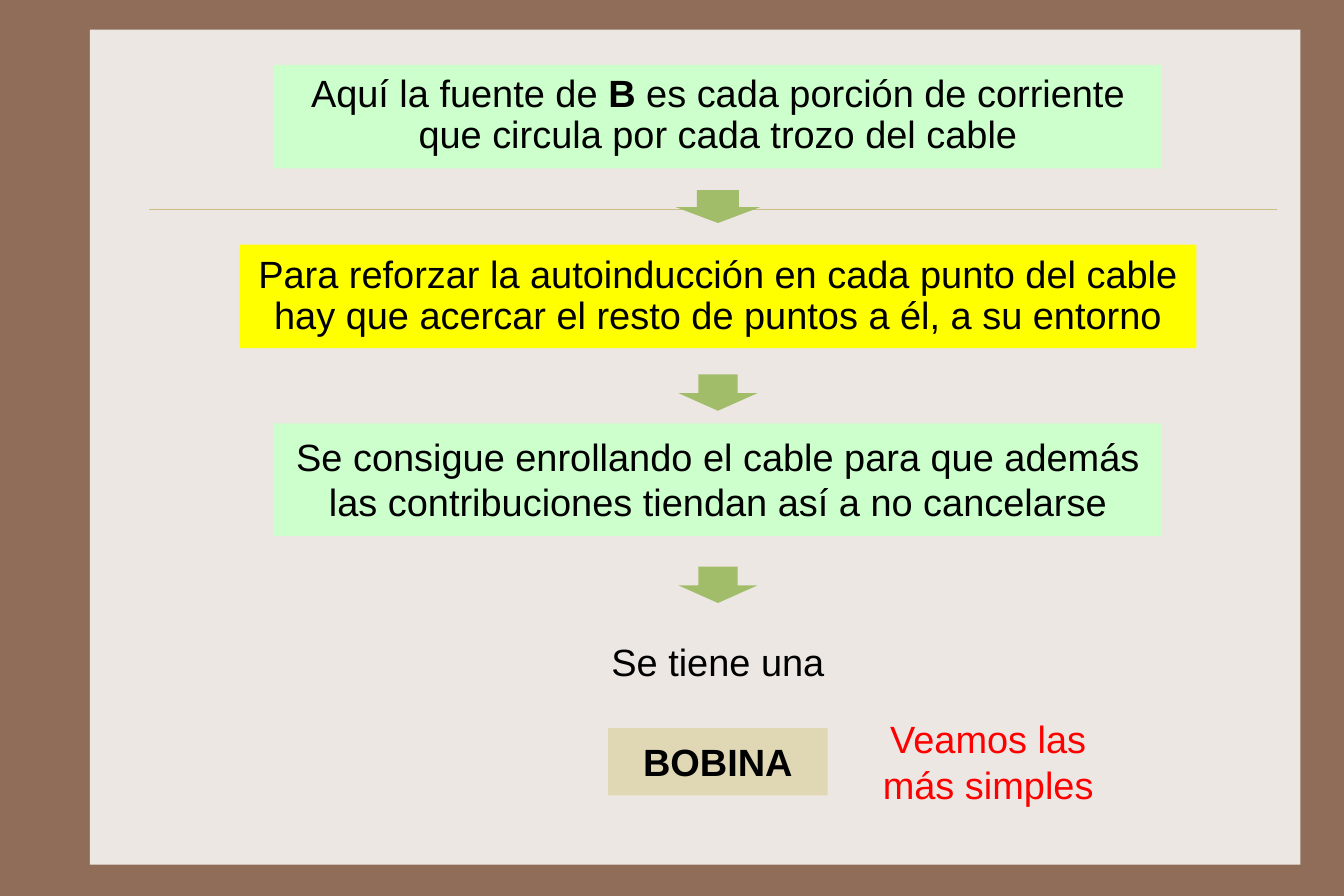
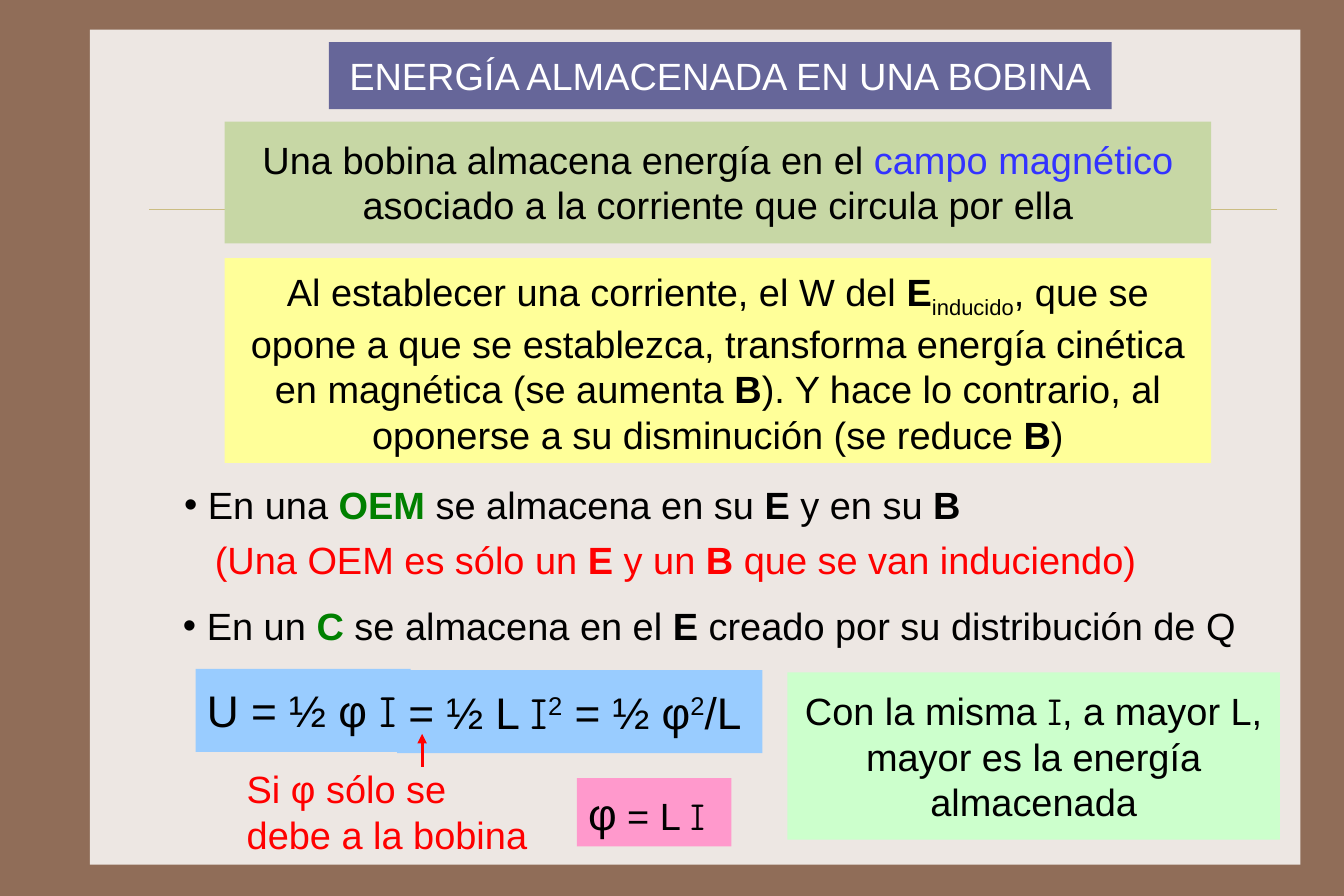
from dataclasses import dataclass
from typing import NamedTuple, Optional

from lxml import etree
from pptx import Presentation
from pptx.dml.color import RGBColor
from pptx.enum.shapes import MSO_CONNECTOR as Connector, MSO_SHAPE as Shape
from pptx.enum.text import MSO_ANCHOR as Anchor, PP_ALIGN as Align
from pptx.oxml.ns import qn
from pptx.util import Inches, Pt

BROWN = RGBColor(0x90, 0x6D, 0x58)
PAPER = RGBColor(0xED, 0xE7, 0xE3)
RULE = RGBColor(0xCB, 0xBD, 0x83)
ARROW_GREEN = RGBColor(0xA1, 0xBD, 0x69)
BLACK = RGBColor(0x00, 0x00, 0x00)
WHITE = RGBColor(0xFF, 0xFF, 0xFF)
RED = RGBColor(0xFF, 0x00, 0x00)
BLUE = RGBColor(0x33, 0x33, 0xFF)
GREEN = RGBColor(0x00, 0x80, 0x00)
MINT = RGBColor(0xCC, 0xFF, 0xCC)
YELLOW = RGBColor(0xFF, 0xFF, 0x00)
PALE_YELLOW = RGBColor(0xFF, 0xFF, 0x99)
SAND = RGBColor(0xE0, 0xD7, 0xB5)
SAGE = RGBColor(0xC7, 0xD7, 0xA5)
VIOLET = RGBColor(0x66, 0x66, 0x99)
SKY = RGBColor(0x99, 0xCC, 0xFF)
PINK = RGBColor(0xFF, 0x99, 0xCC)

SLIDE_HEIGHT = Inches(63 / 8)
SLIDE_WIDTH = SLIDE_HEIGHT * 3 // 2

TEXT_FONT = "Arial"
CURRENT_FONT = "Comic Neue"
TEXT_SIZE = 24
FORMULA_SIZE = 28
CENTER_X = 6.31
BULLET_INDENT = 0.21


class Run(NamedTuple):
    """A piece of text; unset values come from its box."""
    text: str
    bold: bool = False
    color: Optional[RGBColor] = None
    font: str = TEXT_FONT
    size: Optional[int] = None
    baseline: int = 0


E = Run("E", bold=True)
B = Run("B", bold=True)
CURRENT = Run("I", font=CURRENT_FONT)
SQUARED = Run("2", baseline=30)

Line = list[Run]


@dataclass
class Box:
    """Lines of text in a rectangle, centred on the column unless left is given."""
    lines: list[Line]
    top: float
    width: float
    height: float
    left: Optional[float] = None
    fill: Optional[RGBColor] = None
    color: RGBColor = BLACK
    size: int = TEXT_SIZE
    align: Align = Align.CENTER
    anchor: Anchor = Anchor.TOP
    inset_x: float = 0.1
    inset_y: float = 0.09
    line_spacing: Optional[float] = None
    bullet: bool = False


class DownArrow(NamedTuple):
    top: float
    width: float
    height: float


def add_plain_shape(slide, kind: Shape, left: float, top: float, width: float,
                    height: float, fill: RGBColor):
    shape = slide.shapes.add_shape(
        kind, Inches(left), Inches(top), Inches(width), Inches(height))
    shape.shadow.inherit = False
    shape.fill.solid()
    shape.fill.fore_color.rgb = fill
    shape.line.fill.background()
    return shape


def add_line(slide, start: tuple[float, float], end: tuple[float, float],
             color: RGBColor, width: float, arrow: bool = False) -> None:
    connector = slide.shapes.add_connector(
        Connector.STRAIGHT, *map(Inches, start), *map(Inches, end))
    connector.line.color.rgb = color
    connector.line.width = Pt(width)
    properties = connector.element.spPr
    if arrow:
        outline = properties.find(qn("a:ln"))
        etree.SubElement(outline, qn("a:tailEnd"), type="triangle")
    etree.SubElement(properties, qn("a:effectLst"))


def add_bullet(paragraph) -> None:
    properties = paragraph._p.get_or_add_pPr()
    indent = Inches(BULLET_INDENT)
    properties.set("marL", str(indent))
    properties.set("indent", str(-indent))
    etree.SubElement(properties, qn("a:buFont"), typeface=TEXT_FONT)
    etree.SubElement(properties, qn("a:buChar"), char="•")


def add_runs(paragraph, line: Line, box: Box) -> None:
    for piece in line:
        run = paragraph.add_run()
        run.text = piece.text
        run.font.name = piece.font
        run.font.size = Pt(piece.size or box.size)
        run.font.bold = piece.bold
        run.font.color.rgb = piece.color or box.color
        if piece.baseline:
            run._r.get_or_add_rPr().set("baseline", str(piece.baseline * 1000))


def add_box(slide, box: Box) -> None:
    left = CENTER_X - box.width / 2 if box.left is None else box.left
    place = (left, box.top, box.width, box.height)
    if box.fill is None:
        shape = slide.shapes.add_textbox(*map(Inches, place))
    else:
        shape = add_plain_shape(slide, Shape.RECTANGLE, *place, box.fill)
    frame = shape.text_frame
    frame.word_wrap = True
    frame.vertical_anchor = box.anchor
    frame.margin_left = frame.margin_right = Inches(box.inset_x)
    frame.margin_top = frame.margin_bottom = Inches(box.inset_y)
    for index, line in enumerate(box.lines):
        paragraph = frame.add_paragraph() if index else frame.paragraphs[0]
        paragraph.alignment = box.align
        if box.line_spacing:
            paragraph.line_spacing = box.line_spacing
        if box.bullet:
            add_bullet(paragraph)
        add_runs(paragraph, line, box)


def add_down_arrow(slide, arrow: DownArrow) -> None:
    shape = add_plain_shape(
        slide, Shape.DOWN_ARROW, CENTER_X - arrow.width / 2, arrow.top,
        arrow.width, arrow.height, ARROW_GREEN)
    shape.adjustments[1] = 0.48


def add_framed_slide(presentation):
    """Add a slide with the brown frame, paper panel and thin rule."""
    slide = presentation.slides.add_slide(presentation.slide_layouts[6])
    background = slide.background.fill
    background.solid()
    background.fore_color.rgb = BROWN
    add_plain_shape(slide, Shape.RECTANGLE, 0.79, 0.26, 10.64, 7.34, PAPER)
    add_line(slide, (1.31, 1.84), (11.22, 1.84), RULE, 0.25)
    return slide


COIL_BOXES = [
    Box([[Run("Aquí la fuente de "), B,
          Run(" es cada porción de corriente que circula por cada trozo del cable")]],
        0.57, 7.8, 0.91, fill=MINT, inset_x=0.16, line_spacing=0.9),
    Box([[Run("Para reforzar la autoinducción en cada punto del cable "
              "hay que acercar el resto de puntos a él, a su entorno")]],
        2.15, 8.41, 0.91, fill=YELLOW, anchor=Anchor.MIDDLE, line_spacing=0.9),
    Box([[Run("Se consigue enrollando el cable para que además "
              "las contribuciones tiendan así a no cancelarse")]],
        3.72, 7.8, 0.99, fill=MINT),
    Box([[Run("Se tiene una")]], 5.52, 2.2, 0.59),
    Box([[Run("BOBINA", bold=True)]], 6.4, 1.93, 0.59, fill=SAND),
    Box([[Run("Veamos las más simples")]], 6.2, 2.09, 0.99, left=7.64, color=RED),
]

COIL_ARROWS = [
    DownArrow(1.67, 0.74, 0.29),
    DownArrow(3.29, 0.69, 0.32),
    DownArrow(4.98, 0.69, 0.32),
]

ENERGY_BOXES = [
    Box([[Run("ENERGÍA ALMACENADA EN UNA BOBINA")]],
        0.37, 6.88, 0.59, left=2.89, fill=VIOLET, color=WHITE),
    Box([[Run("Una bobina almacena energía en el "),
          Run("campo magnético", color=BLUE),
          Run(" asociado a la corriente que circula por ella")]],
        1.07, 8.67, 1.07, fill=SAGE, inset_y=0.13),
    Box([[Run("Al establecer una corriente, el W del "), E,
          Run("inducido", baseline=-25),
          Run(", que se opone a que se establezca, transforma energía cinética "
              "en magnética (se aumenta "), B,
          Run("). Y hace lo contrario, al oponerse a su disminución (se reduce "),
          B, Run(")")]],
        2.27, 8.67, 1.8, fill=PALE_YELLOW),
    Box([[Run("En una "), Run("OEM", bold=True, color=GREEN),
          Run(" se almacena en su "), E, Run(" y en su "), B]],
        4.14, 7.13, 0.59, left=1.52, align=Align.LEFT, bullet=True),
    Box([[Run("(Una OEM es sólo un "), E, Run(" y un "), B,
          Run(" que se van induciendo)")]],
        4.67, 8.93, 0.5, left=1.79, color=RED, align=Align.LEFT, inset_y=0.05),
    Box([[Run("En un "), Run("C ", bold=True, color=GREEN),
          Run("se almacena en el "), E,
          Run(" creado por su distribución de Q")]],
        5.21, 9.58, 0.59, left=1.51, align=Align.LEFT, bullet=True),
    Box([[Run("U = ½ φ "), CURRENT]], 5.88, 1.89, 0.73, left=1.72,
        fill=SKY, size=FORMULA_SIZE, align=Align.LEFT, inset_y=0.13),
    Box([[Run("= ½ L "), CURRENT, SQUARED, Run(" = ½ φ"), SQUARED, Run("/L")]],
        5.89, 3.21, 0.73, left=3.49,
        fill=SKY, size=FORMULA_SIZE, align=Align.LEFT, inset_y=0.13),
    Box([[Run("Con la misma "), CURRENT,
          Run(", a mayor L, mayor es la energía almacenada")]],
        5.91, 4.33, 1.47, left=6.92, fill=MINT, anchor=Anchor.MIDDLE, inset_y=0.13),
    Box([[Run("φ", size=FORMULA_SIZE), Run(" = L "), CURRENT]],
        6.84, 1.36, 0.6, left=5.07, fill=PINK, align=Align.LEFT,
        anchor=Anchor.MIDDLE),
    Box([[Run("Si φ sólo se")], [Run("debe a la bobina")]],
        6.68, 2.92, 0.91, left=2.07, color=RED, align=Align.LEFT, inset_y=0.05),
]


def build_coil_slide(presentation) -> None:
    slide = add_framed_slide(presentation)
    for box in COIL_BOXES:
        add_box(slide, box)
    for arrow in COIL_ARROWS:
        add_down_arrow(slide, arrow)


def build_energy_slide(presentation) -> None:
    slide = add_framed_slide(presentation)
    for box in ENERGY_BOXES:
        add_box(slide, box)
    add_line(slide, (3.71, 6.74), (3.71, 6.45), RED, 2, arrow=True)


def main() -> None:
    presentation = Presentation()
    presentation.slide_width = SLIDE_WIDTH
    presentation.slide_height = SLIDE_HEIGHT
    build_coil_slide(presentation)
    build_energy_slide(presentation)
    presentation.save("out.pptx")


if __name__ == "__main__":
    main()
